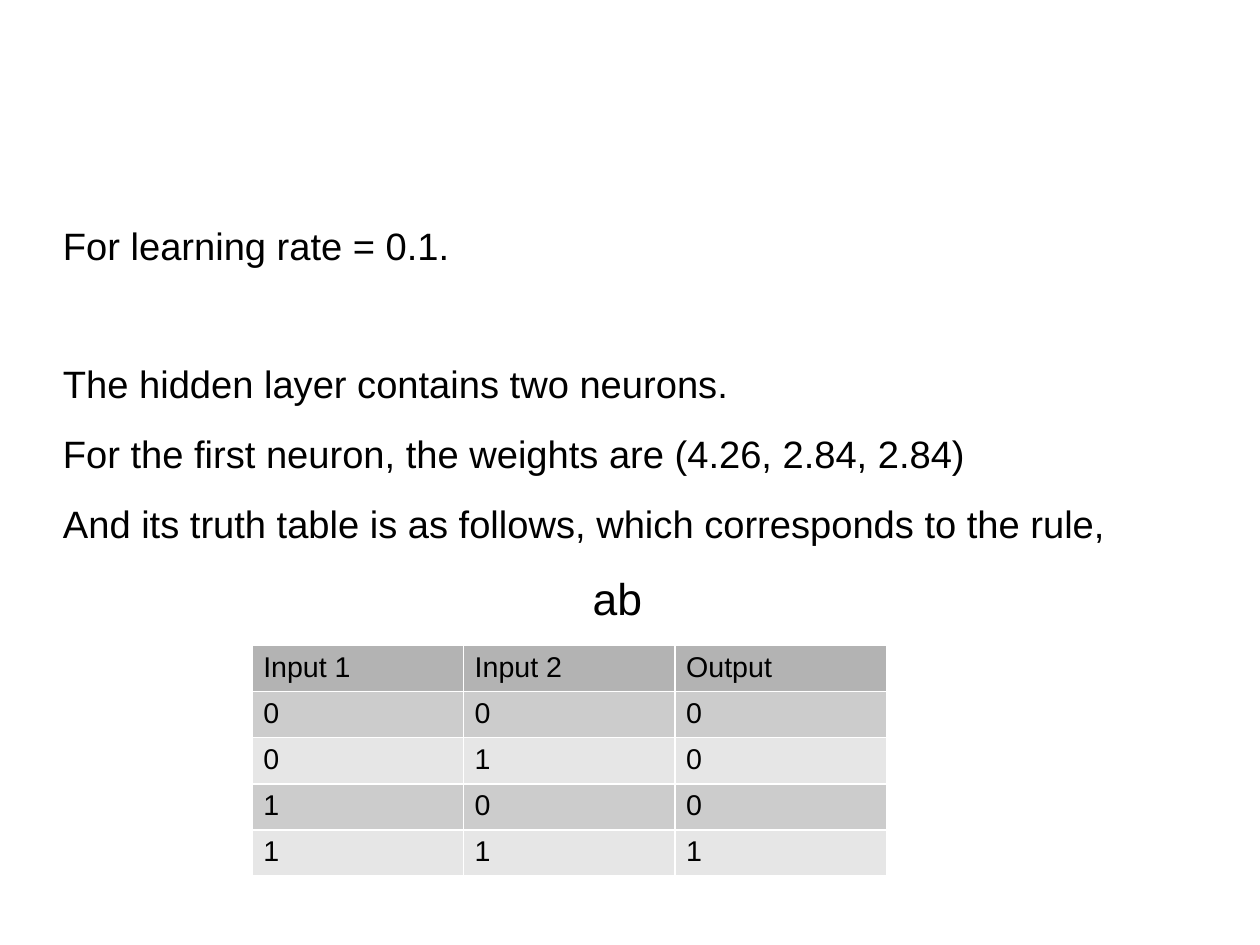
from pptx import Presentation
from pptx.dml.color import RGBColor
from pptx.enum.text import PP_ALIGN
from pptx.util import Cm, Pt

LEFT = PP_ALIGN.LEFT
CENTER = PP_ALIGN.CENTER
BLACK = RGBColor(0x00, 0x00, 0x00)
HEADER_GRAY = RGBColor(0xB3, 0xB3, 0xB3)
BAND_GRAYS = (RGBColor(0xCC, 0xCC, 0xCC), RGBColor(0xE6, 0xE6, 0xE6))
FONT_NAME = "Arial"
BLANK_LAYOUT = 6

STATEMENTS = [
    ("For learning rate = 0.1.", 24, LEFT, 0),
    ("The hidden layer contains two neurons.", 24, LEFT, 42.9),
    ("For the first neuron, the weights are (4.26, 2.84, 2.84)", 24, LEFT, 0),
    ("And its truth table is as follows, which corresponds to the rule,", 24, LEFT, 0),
    ("ab", 28, CENTER, 0),
]
TRUTH_TABLE = [("Input 1", "Input 2", "Output")] + [
    (str(a), str(b), str(a & b)) for a in (0, 1) for b in (0, 1)
]


def apply_format(target, values):
    for name, value in values.items():
        setattr(target, name, value)


def format_font(paragraph, size):
    apply_format(paragraph.font, {"name": FONT_NAME, "size": Pt(size)})
    paragraph.font.color.rgb = BLACK


def add_statements(slide):
    shape = slide.shapes.add_textbox(Cm(1.4), Cm(4.9), Cm(24.64), Cm(12.17))
    frame = shape.text_frame
    apply_format(frame, {
        "word_wrap": True,
        "margin_left": 0,
        "margin_top": 0,
        "margin_right": 0,
        "margin_bottom": 0,
    })
    for index, (text, size, alignment, space_before) in enumerate(STATEMENTS):
        paragraph = frame.add_paragraph() if index else frame.paragraphs[0]
        apply_format(paragraph, {
            "text": text,
            "alignment": alignment,
            "line_spacing": 1.04,
            "space_before": Pt(space_before),
            "space_after": Pt(14.2),
        })
        format_font(paragraph, size)


def add_truth_table(slide):
    row_count, column_count = len(TRUTH_TABLE), len(TRUTH_TABLE[0])
    column_width, row_height = Cm(4.7), Cm(0.97)
    table = slide.shapes.add_table(
        row_count, column_count, Cm(5.6), Cm(14.35),
        column_width * column_count, row_height * row_count,
    ).table
    for column in table.columns:
        column.width = column_width
    for row_index, values in enumerate(TRUTH_TABLE):
        color = BAND_GRAYS[(row_index - 1) % 2] if row_index else HEADER_GRAY
        for column_index, text in enumerate(values):
            cell = table.cell(row_index, column_index)
            apply_format(cell, {
                "text": text,
                "margin_left": Cm(0.25),
                "margin_top": Cm(0.13),
                "margin_right": Cm(0.25),
                "margin_bottom": Cm(0.13),
            })
            cell.fill.solid()
            cell.fill.fore_color.rgb = color
            paragraph = cell.text_frame.paragraphs[0]
            format_font(paragraph, 18)
            paragraph.font.bold = False
    apply_format(table, {"first_row": False, "horz_banding": False})


def main():
    presentation = Presentation()
    apply_format(presentation, {"slide_width": Cm(28), "slide_height": Cm(21)})
    slide = presentation.slides.add_slide(presentation.slide_layouts[BLANK_LAYOUT])
    add_statements(slide)
    add_truth_table(slide)
    presentation.save("out.pptx")


if __name__ == "__main__":
    main()
